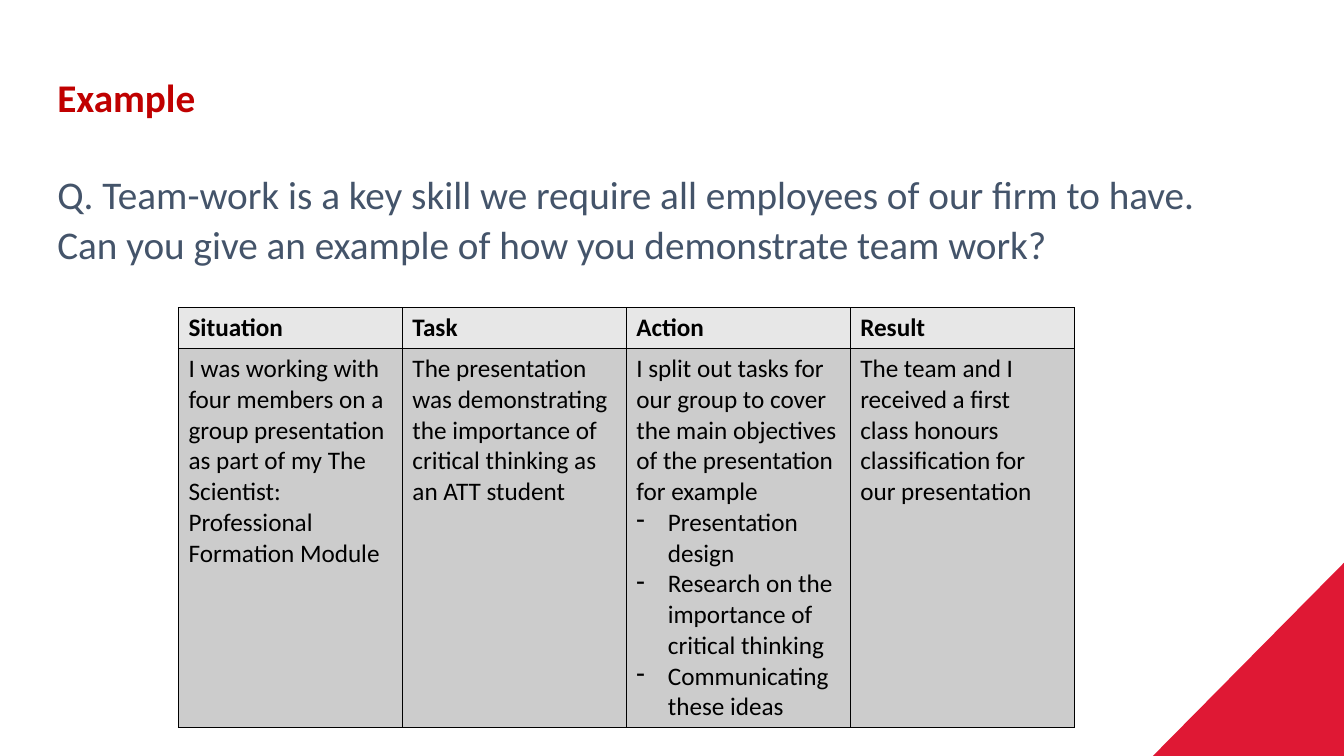
from lxml.etree import SubElement
from pptx import Presentation
from pptx.dml.color import RGBColor
from pptx.enum.text import MSO_ANCHOR, MSO_AUTO_SIZE, PP_ALIGN
from pptx.oxml.ns import qn
from pptx.util import Pt

PX = 9525  # EMU per px, 96 px to the inch
FONT = "Calibri"
RED = RGBColor(0xDF, 0x18, 0x34)
TITLE_RED = RGBColor(0xC0, 0x00, 0x00)
SLATE = RGBColor(0x44, 0x54, 0x6A)
BLACK = RGBColor(0x00, 0x00, 0x00)
HEADER_GREY = RGBColor(0xE7, 0xE7, 0xE7)
CELL_GREY = RGBColor(0xCC, 0xCC, 0xCC)

QUESTION = ("Q. Team-work is a key skill we require all employees of our firm to have. "
            "Can you give an example of how you demonstrate team work?")

# Heading, answer and dashed points of each column
STAR_COLUMNS = [
    ("Situation", "I was working with four members on a group presentation as part of "
                  "my The Scientist: Professional Formation Module", []),
    ("Task", "The presentation was demonstrating the importance of critical thinking "
             "as an ATT student", []),
    ("Action", "I split out tasks for our group to cover the main objectives of the "
               "presentation for example",
     ["Presentation design", "Research on the importance of critical thinking",
      "Communicating these ideas"]),
    ("Result", "The team and I received a first class honours classification for our "
               "presentation", []),
]


def px(length):
    return length * PX


def style(paragraph, size, color, bold=False):
    font = paragraph.font
    font.name, font.size, font.bold = FONT, Pt(size), bold
    font.color.rgb = color
    paragraph.alignment = PP_ALIGN.LEFT


def set_bullet(paragraph, indent, character=None):
    properties = paragraph._p.get_or_add_pPr()
    properties.set("marL", str(px(indent)))
    properties.set("indent", str(-px(indent)))
    if character:
        SubElement(properties, qn("a:buChar"), char=character)
    else:
        SubElement(properties, qn("a:buNone"))


def fill_placeholder(shape, text, left, top, width, height, color, bold=False):
    shape.left, shape.top = px(left), px(top)
    shape.width, shape.height = px(width), px(height)
    frame = shape.text_frame
    frame.text = text
    frame.word_wrap = True
    frame.auto_size = MSO_AUTO_SIZE.NONE
    frame.vertical_anchor = MSO_ANCHOR.TOP
    paragraph = frame.paragraphs[0]
    style(paragraph, 28, color, bold)
    paragraph.space_before = Pt(0)
    return paragraph


def add_corner(slide):
    builder = slide.shapes.build_freeform(px(1280), px(536))
    builder.add_line_segments([(px(1098), px(720)), (px(1280), px(720))], close=True)
    corner = builder.convert_to_shape()
    corner.shadow.inherit = False
    corner.fill.solid()
    corner.fill.fore_color.rgb = RED
    corner.line.fill.background()


def add_borders(cell):
    properties = cell._tc.get_or_add_tcPr()
    for side in ("lnL", "lnR", "lnT", "lnB"):
        line = SubElement(properties, qn(f"a:{side}"), w=str(Pt(1)))
        fill = SubElement(line, qn("a:solidFill"))
        SubElement(fill, qn("a:srgbClr"), val=str(BLACK))


def fill_cell(cell, text, color, bold=False, points=()):
    add_borders(cell)
    cell.fill.solid()
    cell.fill.fore_color.rgb = color
    frame = cell.text_frame
    frame.text = "\n".join([text, *points])
    for paragraph in frame.paragraphs:
        style(paragraph, 18, BLACK, bold)
    for paragraph in frame.paragraphs[1:]:
        set_bullet(paragraph, 30, "-")


def add_star_table(slide):
    columns = len(STAR_COLUMNS)
    frame = slide.shapes.add_table(2, columns, px(170), px(293), px(853), px(394))
    table = frame.table
    table.first_row = table.horz_banding = False
    table.rows[0].height, table.rows[1].height = px(39), px(355)
    for index, (heading, answer, points) in enumerate(STAR_COLUMNS):
        fill_cell(table.cell(0, index), heading, HEADER_GREY, bold=True)
        fill_cell(table.cell(1, index), answer, CELL_GREY, points=points)


def main():
    presentation = Presentation()
    presentation.slide_width, presentation.slide_height = px(1280), px(720)
    slide = presentation.slides.add_slide(presentation.slide_layouts[1])

    # Heading and question
    fill_placeholder(slide.shapes.title, "Example", 45, 65, 732, 55, TITLE_RED, bold=True)
    question = fill_placeholder(slide.placeholders[1], QUESTION, 45, 154, 1128, 276, SLATE)
    question.line_spacing = 1.07
    question.space_after = Pt(6)
    set_bullet(question, 0)

    # Corner decoration and answer table
    add_corner(slide)
    add_star_table(slide)
    presentation.save("out.pptx")


if __name__ == "__main__":
    main()
